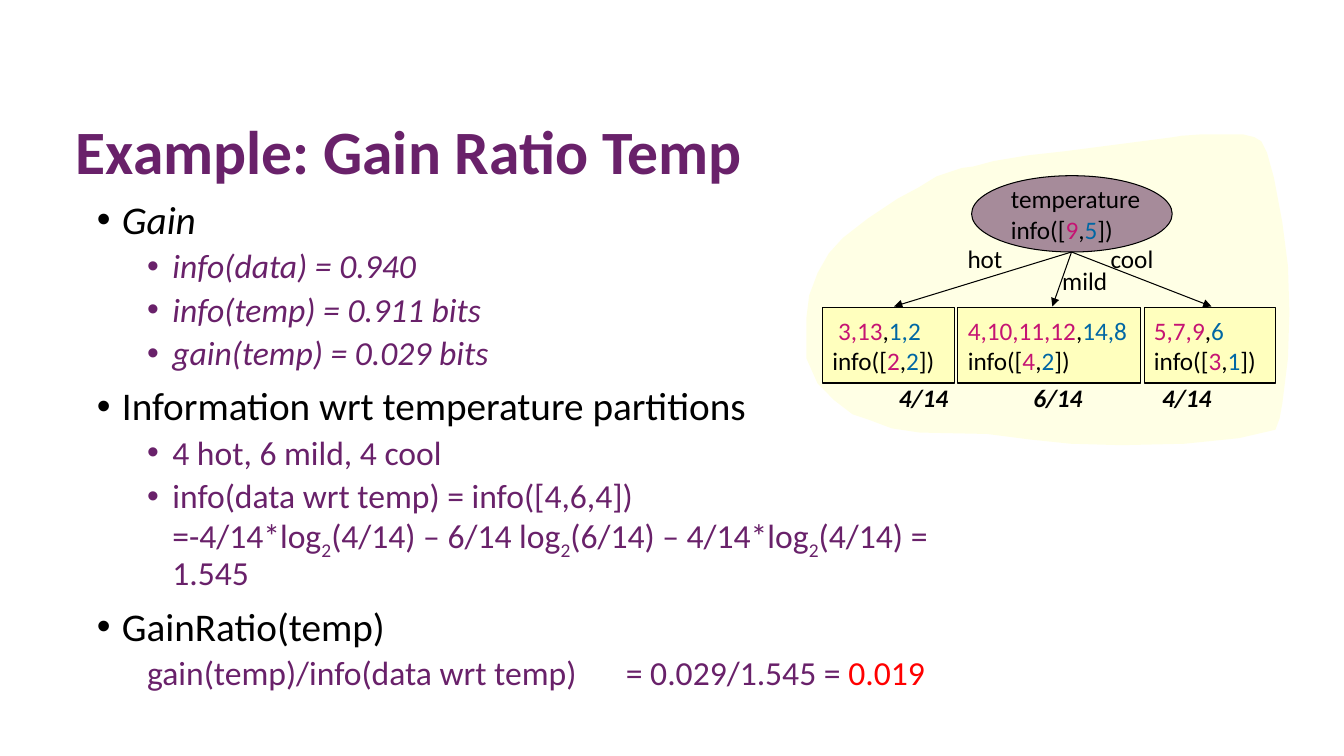
from lxml.etree import SubElement
from pptx import Presentation
from pptx.dml.color import RGBColor
from pptx.enum.shapes import MSO_CONNECTOR, MSO_SHAPE
from pptx.enum.text import MSO_ANCHOR, MSO_AUTO_SIZE, PP_ALIGN
from pptx.oxml.ns import qn
from pptx.util import Pt

BLACK = RGBColor(0x00, 0x00, 0x00)
PLUM = RGBColor(0x69, 0x21, 0x6A)
GRAPE = RGBColor(0x4F, 0x19, 0x50)
LEMON = RGBColor(0xFF, 0xFF, 0x99)
PINK = RGBColor(0xC5, 0x14, 0x73)
BLUE = RGBColor(0x00, 0x67, 0xA4)
RED = RGBColor(0xFF, 0x00, 0x00)

SUB = "-25000"
CLOUD = [
    (888, 96), (858, 96), (844, 97), (838, 98), (815, 101), (761, 108),
    (734, 111), (710, 115), (695, 119), (687, 120), (669, 126), (656, 134),
    (641, 142), (620, 156), (602, 170), (592, 181), (584, 195), (578, 211),
    (576, 227), (576, 256), (584, 274), (596, 286), (609, 296), (621, 300),
    (637, 306), (657, 309), (705, 310), (736, 314), (765, 317), (801, 318),
    (846, 317), (885, 313), (911, 307), (914, 299), (916, 288), (920, 256),
    (921, 223), (920, 190), (916, 159), (910, 127), (905, 109), (901, 101),
    (896, 98),
]
LOG = [("log", PLUM), ("2", PLUM, SUB)]
BODY = [
    (0, True, [("Gain", BLACK)]),
    (1, True, [("info(data) = 0.940", PLUM)]),
    (1, True, [("info(temp) = 0.911 bits", PLUM)]),
    (1, True, [("gain(temp) = 0.029 bits", PLUM)]),
    (0, False, [("Information wrt temperature partitions", BLACK)]),
    (1, False, [("4 hot, 6 mild, 4 cool", PLUM)]),
    (1, False, [("info(data wrt temp) = info([4,6,4])", PLUM), None,
                ("=-4/14*", PLUM), *LOG, ("(4/14) – 6/14 ", PLUM), *LOG,
                ("(6/14) – 4/14*", PLUM), *LOG, ("(4/14)\t= 1.545", PLUM)]),
    (0, False, [("GainRatio(temp)", BLACK)]),
    (None, False, [("gain(temp)/info(data wrt temp)\t= 0.029/1.545 = ", PLUM),
                   ("0.019", RED)]),
]


def pair(yes, no):
    return [(yes, PINK), (",", BLACK), (no, BLUE)]


def info(yes, no):
    return [("info([", BLACK), *pair(yes, no), ("])", BLACK)]


class Board:
    def __init__(self, deck):
        self.slide = deck.slides.add_slide(deck.slide_layouts[1])
        self.shapes = self.slide.shapes
        self.style = {"name": "Calibri", "size": Pt(18),
                      "bold": False, "italic": False}

    def put(self, par, runs, **extra):
        """Add runs of (text, colour[, baseline]); None is a line break."""
        par.alignment = PP_ALIGN.LEFT
        for part in runs:
            if part is None:
                par.add_line_break()
                continue
            text, tint, *base = part
            run = par.add_run()
            run.text = text
            for key, value in {**self.style, **extra}.items():
                setattr(run.font, key, value)
            run.font.color.rgb = tint
            if base:
                run._r.get_or_add_rPr().set("baseline", base[0])

    def place(self, shape, *box):
        for key, value in zip(("left", "top", "width", "height"), box):
            setattr(shape, key, Pt(value))
        return shape.text_frame

    def title(self, text, *box):
        frame = self.place(self.shapes.title, *box)
        frame.vertical_anchor = MSO_ANCHOR.MIDDLE
        frame.auto_size = MSO_AUTO_SIZE.NONE
        par = frame.paragraphs[0]
        par.line_spacing = 0.9
        self.put(par, [(text, PLUM)], size=Pt(44), bold=True)

    def body(self, items, *box):
        frame = self.place(self.slide.placeholders[1], *box)
        frame.auto_size = MSO_AUTO_SIZE.NONE
        for row, (level, slant, runs) in enumerate(items):
            par = frame.add_paragraph() if row else frame.paragraphs[0]
            deep = level != 0
            par.level = int(deep)
            par.line_spacing = 0.9
            par.space_before = Pt(5 if deep else 10)
            self.put(par, runs, size=Pt(24 if deep else 28), italic=slant)
            props = par._p.get_or_add_pPr()
            props.set("marL", str(Pt(54 if deep else 18)))
            props.set("indent", str(Pt(-18)))
            if level is None:
                SubElement(props, qn("a:buNone"))
            else:
                SubElement(props, qn("a:buFont"), typeface="Arial")
                SubElement(props, qn("a:buChar"), char="•")

    def paint(self, shape, tint, alpha):
        shape.shadow.inherit = False
        shape.fill.solid()
        shape.fill.fore_color.rgb = tint
        clr = shape._element.spPr.find(".//" + qn("a:srgbClr"))
        SubElement(clr, qn("a:alpha"), val=str(alpha * 1000))

    def cloud(self, points):
        form = self.shapes.build_freeform(*points[0], scale=Pt(1))
        form.add_line_segments(points[1:], close=True)
        shape = form.convert_to_shape()
        self.paint(shape, LEMON, 25)
        shape.line.fill.background()

    def node(self, kind, tint, lines, *box):
        shape = self.shapes.add_shape(kind, *map(Pt, box))
        self.paint(shape, tint, 50)
        shape.line.color.rgb = BLACK
        shape.line.width = Pt(0.75)
        frame = shape.text_frame
        frame.word_wrap = False
        frame.vertical_anchor = MSO_ANCHOR.MIDDLE
        for row, runs in enumerate(lines):
            par = frame.add_paragraph() if row else frame.paragraphs[0]
            self.put(par, runs)

    def arrow(self, *ends):
        line = self.shapes.add_connector(MSO_CONNECTOR.STRAIGHT, *map(Pt, ends))
        line.line.color.rgb = BLACK
        line.line.width = Pt(0.75)
        props = line._element.spPr
        SubElement(props.find(qn("a:ln")), qn("a:tailEnd"), type="triangle")
        SubElement(props, qn("a:effectLst"))

    def label(self, text, left, top, width, **extra):
        box = self.shapes.add_textbox(*map(Pt, (left, top, width, 29)))
        box.text_frame.word_wrap = False
        self.put(box.text_frame.paragraphs[0], [(text, BLACK)], **extra)


def main():
    deck = Presentation()
    deck.slide_width, deck.slide_height = Pt(960), Pt(540)
    board = Board(deck)
    board.title("Example: Gain Ratio Temp", 46.8, 80.6, 828, 59.8)
    board.body(BODY, 61.9, 139.7, 650, 360.7)
    board.cloud(CLOUD)
    board.node(MSO_SHAPE.OVAL, GRAPE,
               [[("temperature", BLACK)], info("9", "5")],
               694, 125.5, 143.3, 54.5)

    leaves = [
        ([(" ", BLACK), *pair("3,13", "1,2")], info("2", "2"), 94, 638.6),
        (pair("4,10,11,12", "14,8"), info("4", "2"), 130.3, 751.7),
        (pair("5,7,9", "6"), info("3", "1"), 94, 865.4),
    ]
    left = 587.5
    for cases, split, width, tip in leaves:
        board.node(MSO_SHAPE.RECTANGLE, LEMON, [cases, split],
                   left, 219.6, width, 54)
        board.arrow(765.4, 180, tip, 218.9)
        left += width + 2.7

    for text, *spot in [("hot", 684, 170.6, 39.6), ("mild", 751.7, 185.8, 47.5),
                        ("cool", 786.2, 170.6, 45.4)]:
        board.label(text, *spot)
    for text, side in [("4/14", 635), ("6/14", 731), ("4/14", 823)]:
        board.label(text, side, 269.3, 49.4, bold=True, italic=True)
    deck.save("out.pptx")


if __name__ == "__main__":
    main()
